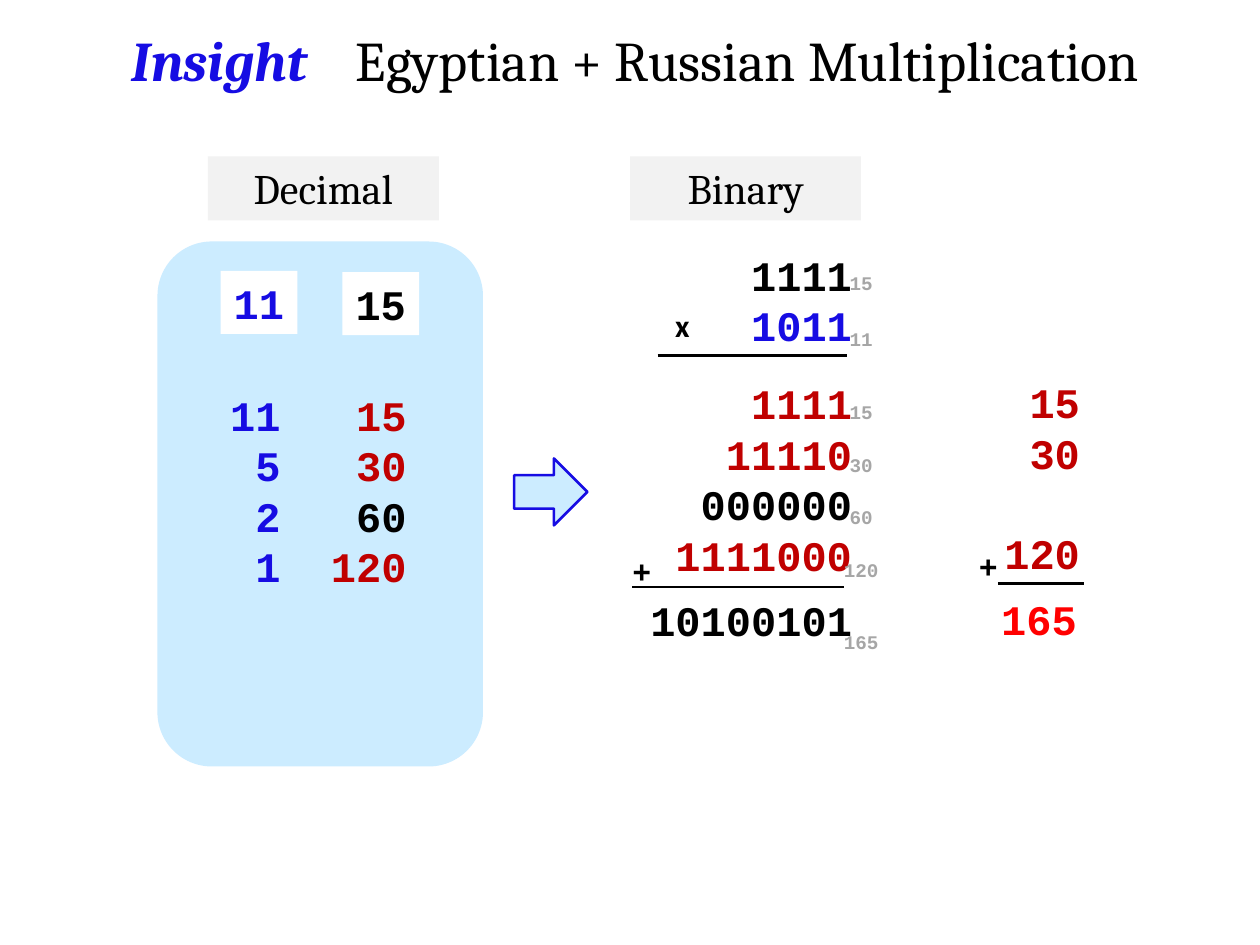
from pptx import Presentation
from pptx.dml.color import RGBColor
from pptx.enum.shapes import MSO_CONNECTOR, MSO_SHAPE
from pptx.enum.text import MSO_ANCHOR, PP_ALIGN
from pptx.oxml.ns import qn
from pptx.util import Pt
from lxml import etree

RECT, ROUND = MSO_SHAPE.RECTANGLE, MSO_SHAPE.ROUNDED_RECTANGLE
ARROW, LINE = MSO_SHAPE.RIGHT_ARROW, MSO_CONNECTOR.STRAIGHT
LEFT, MID, RIGHT = PP_ALIGN.LEFT, PP_ALIGN.CENTER, PP_ALIGN.RIGHT
TOP = MSO_ANCHOR.TOP
COLORS = {"black": "000000", "blue": "160CE3", "red": "C00000",
          "bright": "FF0000", "gray": "A6A6A6", "pale": "F2F2F2",
          "sky": "CCECFF", "white": "FFFFFF"}
SERIF, MONO, SANS = "Cambria", "Courier New", "Calibri"


def color(name):
    return RGBColor.from_string(COLORS[name])


class Board:
    """Holds the style and the current slide."""

    def __init__(self, slide):
        self.slide = slide
        self.shapes = slide.shapes

    def style(self, run, tint, size=24, face=MONO, bold=True):
        font = run.font
        font.name, font.size, font.bold = face, Pt(size), bold
        font.color.rgb = color(tint)

    def shape(self, kind, x, y, w, h, fill, edge=None):
        item = self.shapes.add_shape(kind, Pt(x), Pt(y), Pt(w), Pt(h))
        item.shadow.inherit = False
        item.fill.solid()
        item.fill.fore_color.rgb = color(fill)
        if edge:
            item.line.color.rgb = color(edge)
            item.line.width = Pt(1.5)
        else:
            item.line.fill.background()
        return item

    def label(self, item, rows, align=MID, wrap=False, **look):
        """Fill a shape with (text, color) rows."""
        frame = item.text_frame
        frame.word_wrap = wrap
        frame.vertical_anchor = TOP
        frame.text = "\n".join(text for text, _ in rows)
        for para, (_, tint) in zip(frame.paragraphs, rows):
            para.alignment = align
            self.style(para.runs[0], tint, **look)
        return frame

    def text(self, x, y, w, h, rows, align=MID, wrap=False, **look):
        item = self.shapes.add_textbox(Pt(x), Pt(y), Pt(w), Pt(h))
        return self.label(item, rows, align, wrap, **look)

    def column(self, right, y, w, h, rows):
        """Stack numbers against a right edge."""
        return self.text(right - w, y, w, h, rows, RIGHT, True)

    def rule(self, x, y, end):
        line = self.shapes.add_connector(LINE, Pt(x), Pt(y), Pt(end), Pt(y))
        line.line.color.rgb = color("black")
        line.line.width = Pt(1.5)
        etree.SubElement(line._element.spPr, qn("a:effectLst"))

    def title(self, x, y, w, h, lead, rest, stop):
        item = self.shapes.add_textbox(Pt(x), Pt(y), Pt(w), Pt(h))
        item.text_frame.word_wrap = True
        para = item.text_frame.paragraphs[0]
        para.alignment = LEFT
        tabs = etree.SubElement(para._p.get_or_add_pPr(), qn("a:tabLst"))
        etree.SubElement(tabs, qn("a:tab"), pos=str(Pt(stop)), algn="l")
        for text, tint, strong in ((lead + "\t", "blue", True),
                                   (rest, "black", False)):
            run = para.add_run()
            run.text = text
            self.style(run, tint, 32, SERIF, strong)
            run.font.italic = strong


def main():
    deck = Presentation()
    deck.slide_width, deck.slide_height = Pt(720), Pt(540)
    board = Board(deck.slides.add_slide(deck.slide_layouts[6]))

    # Title and headings
    board.title(68.3, 10.8, 615.7, 46, "Insight",
                "Egyptian + Russian Multiplication", 128)
    for x, name in ((118.8, "Decimal"), (360, "Binary")):
        head = board.shape(RECT, x, 89.3, 132, 36.7, "pale")
        board.label(head, [(name, "black")], wrap=True, face=SERIF, bold=False)

    # Decimal panel: factors, then halving and doubling
    board.shape(ROUND, 90, 138, 186, 300, "sky")
    for x, y, num, tint in ((126, 154.8, "11", "blue"),
                            (195.6, 155.6, "15", "black")):
        card = board.shape(RECT, x, y, 43.9, 36, "white")
        board.label(card, [(num, tint)])
    halves = [(num, "blue") for num in ("11", "5", "2", "1")]
    twice = [("15", "red"), ("30", "red"), ("60", "black"), ("120", "red")]
    board.column(167.4, 218.9, 60, 124, halves)
    board.column(239.4, 218.9, 72, 124, twice)

    # Arrow to the binary side
    board.shape(ARROW, 293.8, 262, 41.8, 38.2, "sky", "blue")

    # Binary product
    edge = 493.9
    board.column(edge, 139, 116, 65.5, [("1111", "black"), ("1011", "blue")])
    board.column(edge, 212.4, 150, 124,
                 [("1111", "red"), ("11110", "red"),
                  ("000000", "black"), ("1111000", "red")])
    board.column(edge, 336.2, 150, 36, [("10100101", "black")])
    board.rule(375.8, 203, 483.8)
    board.rule(361.4, 335.5, 482.4)

    # Decimal sum of the kept rows
    kept = board.column(624.2, 211.7, 72, 147.6,
                        [("15", "red"), ("30", "red"), ("120", "red")])
    kept.paragraphs[2].space_before = Pt(28.8)
    board.text(564.5, 335.5, 58.3, 36, [("165", "bright")])
    board.rule(570.2, 333.4, 619.2)

    # Operators
    for x, y, sign, face in ((354.2, 311.8, "+", MONO),
                             (552.2, 308.9, "+", MONO),
                             (377.3, 171.4, "x", SANS)):
        board.text(x, y, 25.2, 28.8, [(sign, "black")], size=18, face=face)

    # Decimal values beside the binary rows
    for y, num in ((151.2, "15"), (183.6, "11"), (225.4, "15"),
                   (255.6, "30"), (285.1, "60"), (315.4, "120"),
                   (356.4, "165")):
        board.text(474.8, y, 34.6, 20.9, [(num, "gray")], size=11)

    deck.save("out.pptx")


if __name__ == "__main__":
    main()
